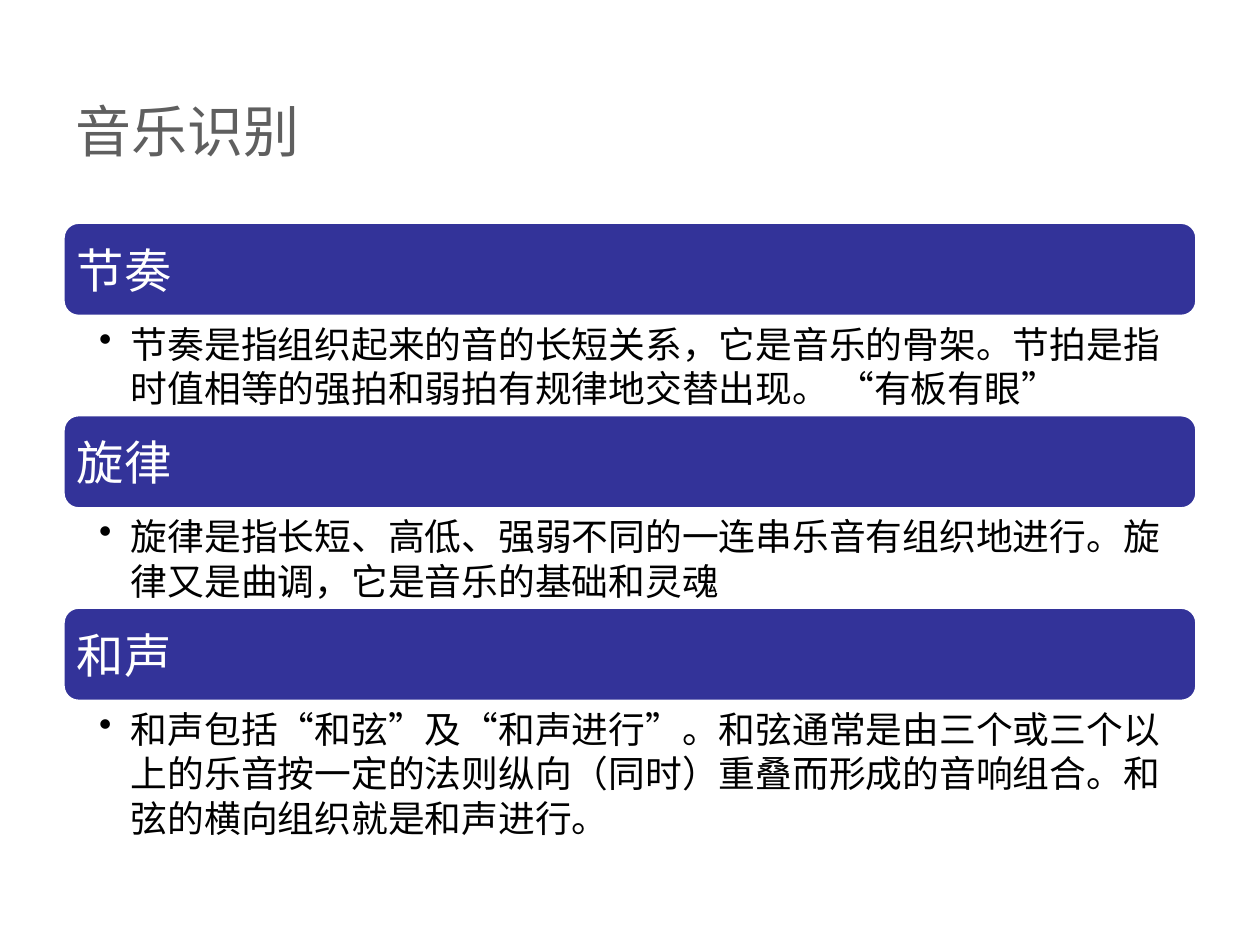
import pptx
import pptx.dml.color
import pptx.enum.shapes
import pptx.enum.text
import pptx.oxml.ns
import pptx.util
from lxml import etree
from pptx.util import Cm

COLORS = {"title": "5F5F5F", "bar": "333399", "white": "FFFFFF", "body": "000000"}
CHINESE_FONT = "Noto Sans CJK SC"
LEFT, WIDTH = Cm(1.27), Cm(22.86)
FIRST_TOP = Cm(4.48)
BAR_HEIGHT = Cm(1.9)
SECTIONS = [
    ("节奏", "节奏是指组织起来的音的长短关系，它是音乐的骨架。节拍是指时值相等的强拍和弱拍有规律地交替出现。 “有板有眼”", Cm(1.98)),
    ("旋律", "旋律是指长短、高低、强弱不同的一连串乐音有组织地进行。旋律又是曲调，它是音乐的基础和灵魂", Cm(1.98)),
    ("和声", "和声包括“和弦”及“和声进行”。和弦通常是由三个或三个以上的乐音按一定的法则纵向（同时）重叠而形成的音响组合。和弦的横向组织就是和声进行。", Cm(2.87)),
]


def rgb(name):
    return pptx.dml.color.RGBColor.from_string(COLORS[name])


def set_frame(shape, anchor, left, top, right, bottom):
    frame = shape.text_frame
    frame.word_wrap = True
    frame.vertical_anchor = anchor
    frame.margin_left, frame.margin_top = left, top
    frame.margin_right, frame.margin_bottom = right, bottom
    paragraph = frame.paragraphs[0]
    paragraph.alignment = pptx.enum.text.PP_ALIGN.LEFT
    return paragraph


def add_text(paragraph, text, size, color, font="Arial"):
    run = paragraph.add_run()
    run.text = text
    run.font.size = pptx.util.Pt(size)
    run.font.color.rgb = rgb(color)
    run.font.name = font
    east_asian = etree.SubElement(run.font._element, pptx.oxml.ns.qn("a:ea"))
    east_asian.set("typeface", CHINESE_FONT)


def add_bullet(paragraph, indent):
    properties = paragraph._p.get_or_add_pPr()
    properties.set("marL", str(indent))
    properties.set("indent", str(-indent))
    bullet = etree.SubElement(properties, pptx.oxml.ns.qn("a:buChar"))
    bullet.set("char", "•")


def add_title(slide, text):
    shape = slide.shapes.add_textbox(LEFT, Cm(1.32), WIDTH, Cm(2.62))
    paragraph = set_frame(shape, pptx.enum.text.MSO_ANCHOR.MIDDLE,
                          Cm(0.25), Cm(0.13), Cm(0.25), Cm(0.13))
    add_text(paragraph, text, 32, "title", CHINESE_FONT)


def add_bar(slide, text, top):
    shape = slide.shapes.add_shape(
        pptx.enum.shapes.MSO_SHAPE.ROUNDED_RECTANGLE, LEFT, top, WIDTH, BAR_HEIGHT)
    shape.shadow.inherit = False
    shape.fill.solid()
    shape.fill.fore_color.rgb = rgb("bar")
    shape.line.color.rgb = rgb("white")
    shape.line.width = pptx.util.Pt(2)
    paragraph = set_frame(shape, pptx.enum.text.MSO_ANCHOR.MIDDLE,
                          Cm(0.19), Cm(0.19), Cm(0.19), Cm(0.19))
    add_text(paragraph, text, 27, "white")


def add_description(slide, text, top, height):
    shape = slide.shapes.add_textbox(LEFT, top, WIDTH, height)
    paragraph = set_frame(shape, pptx.enum.text.MSO_ANCHOR.TOP,
                          Cm(0.73), Cm(0.1), Cm(0.53), Cm(0.1))
    add_bullet(paragraph, Cm(0.64))
    paragraph.level = 1
    paragraph.line_spacing = pptx.util.Pt(25.4)
    add_text(paragraph, text, 21, "body")


def main():
    presentation = pptx.Presentation()
    presentation.slide_width, presentation.slide_height = Cm(25.4), Cm(19.05)
    slide = presentation.slides.add_slide(presentation.slide_layouts[6])
    add_title(slide, "音乐识别")
    top = FIRST_TOP
    for heading, description, height in SECTIONS:
        add_bar(slide, heading, top)
        add_description(slide, description, top + BAR_HEIGHT, height)
        top += BAR_HEIGHT + height
    presentation.save("out.pptx")


if __name__ == "__main__":
    main()
